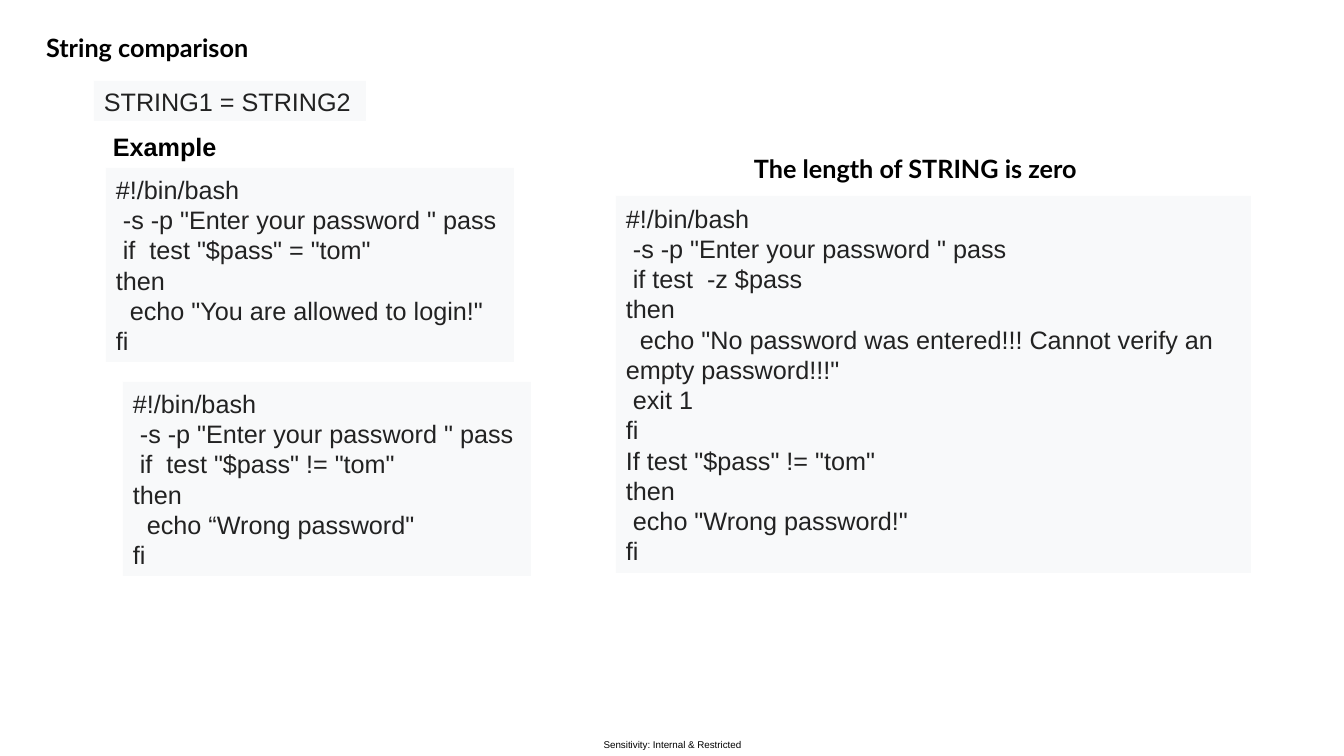
from pptx import Presentation
from pptx.dml.color import RGBColor
from pptx.enum.shapes import MSO_SHAPE
from pptx.enum.text import MSO_ANCHOR, MSO_AUTO_SIZE, PP_ALIGN
from pptx.util import Pt

BLACK = RGBColor(0x00, 0x00, 0x00)
INK = RGBColor(0x22, 0x22, 0x22)
PALE = RGBColor(0xF8, 0xF9, 0xFA)

PX = 914400 / 100.8
WIDE, HIGH = 1344, 756

TITLE = ("String comparison", "Lato", (36, 27, 236, 40))
HEADS = [
    ("Example", "Arial", (103, 126, 125, 40)),
    ("The length of STRING is zero", "Lato", (744, 148, 350, 40)),
]
FOOT = ("Sensitivity: Internal & Restricted", (590, 734, 165, 22))

START = ["#!/bin/bash", ' -s -p "Enter your password " pass']
CODES = [
    ((94, 81, 272, 40), ["STRING1 = STRING2"]),
    ((106, 168, 408, 194), START + [
        ' if  test "$pass" = "tom"',
        "then",
        '  echo "You are allowed to login!"',
        "fi",
    ]),
    ((123, 382, 408, 194), START + [
        ' if  test "$pass" != "tom"',
        "then",
        '  echo “Wrong password"',
        "fi",
    ]),
    ((616, 196, 635, 377), START + [
        " if test  -z $pass",
        "then",
        '  echo "No password was entered!!! Cannot verify an empty password!!!"',
        " exit 1",
        "fi",
        'If test "$pass" != "tom"',
        "then",
        ' echo "Wrong password!"',
        "fi",
    ]),
]


def scale(box):
    return [round(v * PX) for v in box]


def place(shape, box):
    shape.left, shape.top, shape.width, shape.height = scale(box)


def write(shape, lines, font="Arial", size=18, color=BLACK, bold=False,
          wrap=False, anchor=MSO_ANCHOR.TOP, align=PP_ALIGN.LEFT):
    frame = shape.text_frame
    frame.word_wrap = wrap
    frame.auto_size = MSO_AUTO_SIZE.SHAPE_TO_FIT_TEXT
    frame.vertical_anchor = anchor
    for i, line in enumerate(lines):
        para = frame.add_paragraph() if i else frame.paragraphs[0]
        para.alignment = align
        run = para.add_run()
        run.text = line
        run.font.name = font
        run.font.size = Pt(size)
        run.font.bold = bold
        run.font.color.rgb = color


def main():
    """Build the string comparison slide."""
    deck = Presentation()
    deck.slide_width, deck.slide_height = scale((WIDE, HIGH))
    slide = deck.slides.add_slide(deck.slide_layouts[5])
    shapes = slide.shapes

    text, font, box = TITLE
    place(shapes.title, box)
    write(shapes.title, [text], font, bold=True)

    for box, lines in CODES:
        panel = shapes.add_shape(MSO_SHAPE.RECTANGLE, *scale(box))
        panel.shadow.inherit = False
        panel.fill.solid()
        panel.fill.fore_color.rgb = PALE
        panel.line.fill.background()
        write(panel, lines, color=INK, wrap=True, anchor=MSO_ANCHOR.MIDDLE)

    for text, font, box in HEADS:
        write(shapes.add_textbox(*scale(box)), [text], font, bold=True)

    text, box = FOOT
    foot = shapes.add_textbox(*scale(box))
    frame = foot.text_frame
    frame.margin_left = frame.margin_right = 0
    frame.margin_top = frame.margin_bottom = 0
    write(foot, [text], size=7, wrap=True, anchor=MSO_ANCHOR.MIDDLE,
          align=PP_ALIGN.CENTER)

    deck.save("out.pptx")


if __name__ == "__main__":
    main()
